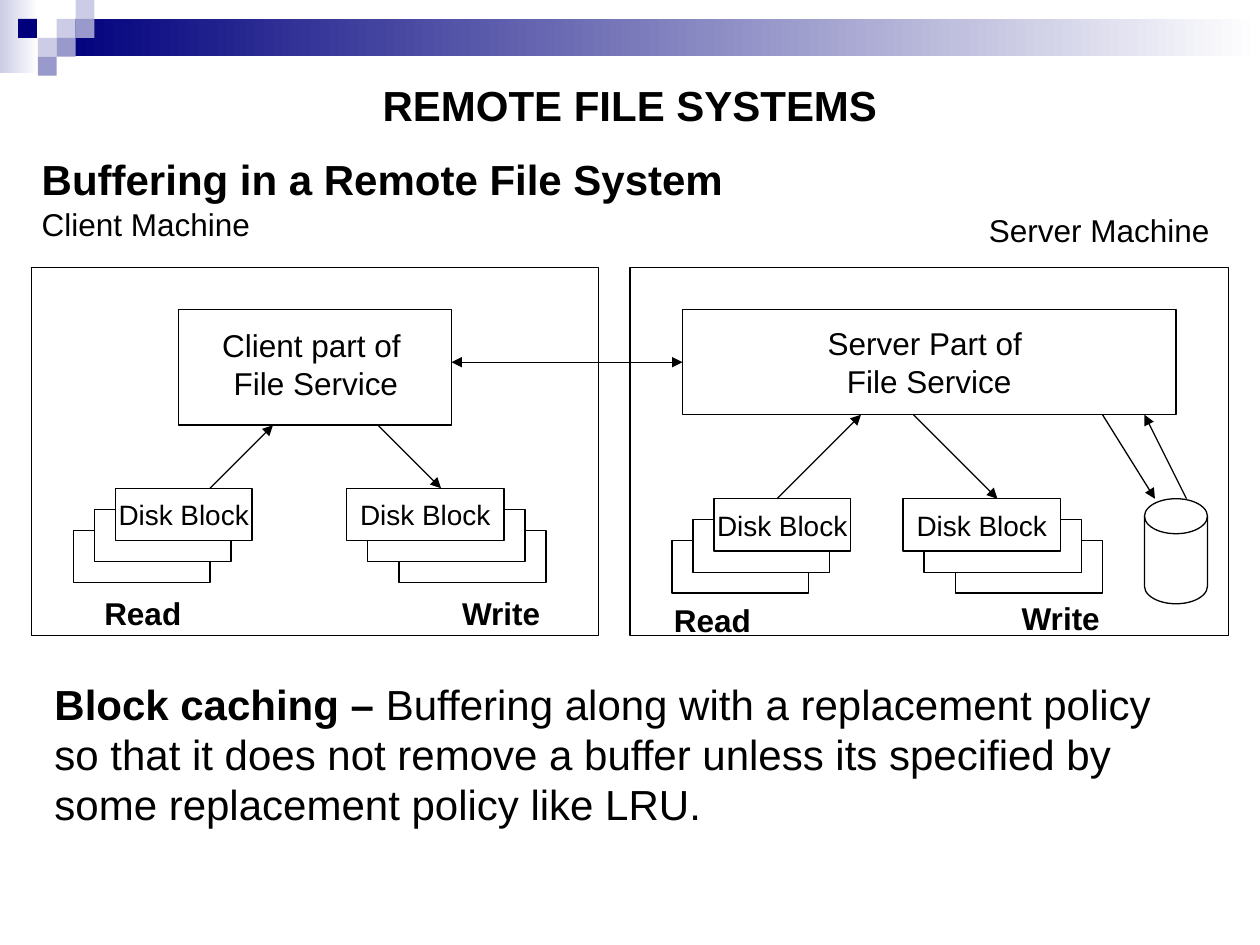
from pptx import Presentation
from pptx.dml.color import RGBColor
from pptx.enum.shapes import MSO_CONNECTOR, MSO_SHAPE
from pptx.enum.text import MSO_ANCHOR, MSO_AUTO_SIZE, PP_ALIGN
from pptx.oxml.ns import qn
from pptx.util import Pt
from lxml.etree import SubElement

NAVY, LILAC, VIOLET = "00007D", "CCCCE6", "9999CC"
BLACK, WHITE = "000000", "FFFFFF"


def color(hex_code):
    return RGBColor.from_string(hex_code)


def write(frame, text, size=18, bold=False, align=PP_ALIGN.LEFT,
          anchor=MSO_ANCHOR.TOP, wrap=False, lead="", font="Arial"):
    """Fill a text frame, one paragraph a line, after an optional bold lead."""
    frame.word_wrap = wrap
    frame.vertical_anchor = anchor
    for index, line in enumerate(text.split("\n")):
        paragraph = frame.add_paragraph() if index else frame.paragraphs[0]
        paragraph.alignment = align
        parts = [(line, bold)]
        if lead and index == 0:
            parts.insert(0, (lead, True))
        for words, heavy in parts:
            run = paragraph.add_run()
            run.text = words
            run.font.name = font
            run.font.size = Pt(size)
            run.font.bold = heavy
            run.font.color.rgb = color(BLACK)


class Diagram:
    def __init__(self, slide, ink=BLACK, weight=0.75):
        self.slide = slide
        self.ink = ink
        self.weight = weight

    def shape(self, x, y, w, h, fill=None, fade=False, outline=True,
              kind=MSO_SHAPE.RECTANGLE):
        shape = self.slide.shapes.add_shape(kind, Pt(x), Pt(y), Pt(w), Pt(h))
        shape.shadow.inherit = False
        if fade:
            shape.fill.gradient()
            shape.fill.gradient_angle = 0
            for stop, shade in zip(shape.fill.gradient_stops, (fill, WHITE)):
                stop.color.rgb = color(shade)
        elif fill:
            shape.fill.solid()
            shape.fill.fore_color.rgb = color(fill)
        else:
            shape.fill.background()
        if outline:
            shape.line.color.rgb = color(self.ink)
            shape.line.width = Pt(self.weight)
        else:
            shape.line.fill.background()
        return shape

    def box(self, x, y, w, h, text, size):
        box = self.shape(x, y, w, h, WHITE)
        write(box.text_frame, text, size=size, align=PP_ALIGN.CENTER,
              anchor=MSO_ANCHOR.MIDDLE)

    def label(self, x, y, w, h, text, **style):
        label = self.slide.shapes.add_textbox(Pt(x), Pt(y), Pt(w), Pt(h))
        write(label.text_frame, text, **style)
        label.text_frame.auto_size = MSO_AUTO_SIZE.SHAPE_TO_FIT_TEXT

    def stack(self, x, y, w, behind):
        """Disk blocks; behind lists (shift, width) from second to last."""
        for depth, (shift, width) in reversed(list(enumerate(behind, 1))):
            self.shape(x + shift, y + 12 * depth, width, 30, WHITE)
        self.box(x, y, w, 30, "Disk Block", 16)

    def arrow(self, x1, y1, x2, y2, both=False):
        arrow = self.slide.shapes.add_connector(
            MSO_CONNECTOR.STRAIGHT, Pt(x1), Pt(y1), Pt(x2), Pt(y2))
        arrow.line.color.rgb = color(self.ink)
        arrow.line.width = Pt(self.weight)
        line = arrow.line._get_or_add_ln()
        for end in ("a:headEnd", "a:tailEnd") if both else ("a:tailEnd",):
            SubElement(line, qn(end)).set("type", "triangle")
        SubElement(arrow._element.spPr, qn("a:effectLst"))


def main():
    deck = Presentation()
    deck.slide_width, deck.slide_height = Pt(720), Pt(540)
    diagram = Diagram(deck.slides.add_slide(deck.slide_layouts[6]))

    # Header band and its squares
    diagram.shape(0, 0, 22, 42, LILAC, fade=True, outline=False)
    diagram.shape(32.4, 10.8, 687.6, 21.2, NAVY, fade=True, outline=False)
    tile = 10.8
    for x, row, shade in ((32.4, 1, LILAC), (43.2, 0, LILAC),
                          (43.2, 1, VIOLET), (21.6, 2, LILAC),
                          (10.3, 1, NAVY), (32.4, 2, VIOLET),
                          (21.6, 3, VIOLET)):
        diagram.shape(x, row * tile, tile, tile, shade, outline=False)

    # Headings
    diagram.label(0, 42, 720, 36, "REMOTE FILE SYSTEMS", size=24, bold=True,
                  align=PP_ALIGN.CENTER, wrap=True)
    diagram.label(16.75, 84, 404, 36, "Buffering in a Remote File System",
                  size=24, bold=True)

    # Machines
    diagram.label(16.75, 113.5, 136, 29, "Client Machine")
    diagram.label(558, 117, 143, 29, "Server Machine")
    diagram.shape(18, 153, 324, 210)
    diagram.shape(360, 153, 342, 210)

    # File service parts and the server disk
    diagram.shape(102, 177, 156, 66)
    diagram.label(102, 183, 157, 50, "Client part of \nFile Service",
                  align=PP_ALIGN.CENTER, wrap=True)
    diagram.box(390, 177, 282, 60, "Server Part of \nFile Service", 18)
    diagram.shape(654, 285, 36, 60, kind=MSO_SHAPE.FLOWCHART_MAGNETIC_DISK)

    # Read and write buffers of each machine
    for read_x, write_x, top in ((66, 198, 279), (408, 516, 285)):
        diagram.stack(read_x, top, 78, [(-12, 78), (-24, 78)])
        diagram.stack(write_x, top, 90, [(12, 90), (30, 84)])
    for x, y, name in ((52.5, 336, "Read"), (257, 336, "Write"),
                       (378, 340, "Read"), (576.7, 339, "Write")):
        diagram.label(x, y, 62, 29, name, bold=True)

    # Data flow
    diagram.arrow(258, 207, 390, 207, both=True)
    for ends in ((120, 279, 156, 243), (216, 243, 252, 279),
                 (444, 285, 492, 237), (522, 237, 570, 285),
                 (630, 237, 660, 285), (678, 285, 654, 237)):
        diagram.arrow(*ends)

    # Explanation
    diagram.label(24, 384, 660, 94,
                  "Buffering along with a replacement policy so that it does "
                  "not remove a buffer unless its specified by some "
                  "replacement policy like LRU.",
                  size=24, wrap=True, lead="Block caching – ")

    deck.save("out.pptx")


if __name__ == "__main__":
    main()
